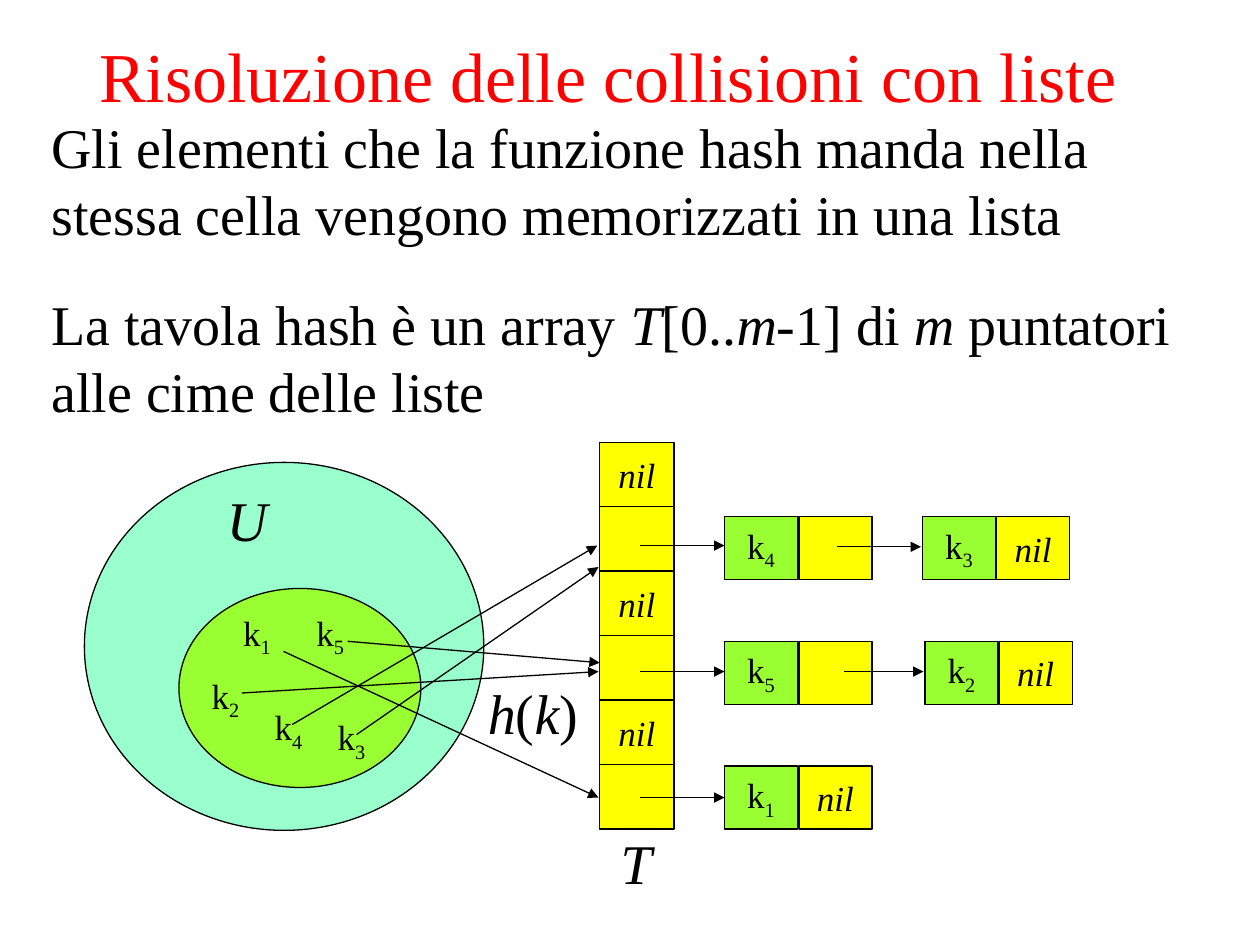
from lxml.etree import SubElement as Sub
from pptx import Presentation
from pptx.dml.color import RGBColor
from pptx.enum.shapes import MSO_CONNECTOR as Conn, MSO_SHAPE as Kind
from pptx.enum.text import MSO_ANCHOR as Anchor, PP_ALIGN as Align
from pptx.oxml.ns import qn
from pptx.util import Inches, Pt

FONT = "Times New Roman"
BLACK, RED, MINT, GREEN, YELLOW = "000000", "FF0000", "99FFCC", "99FF33", "FFFF00"
TITLE = "Risoluzione delle collisioni con liste "
BODY = [
    (0.84, 9.45, "Gli elementi che la funzione hash manda nella stessa cella "
                 "vengono memorizzati in una lista"),
    (2.25, 9.41, "La tavola hash è un array *T*[0..*m*-1] di *m* puntatori "
                 "alle cime delle liste  "),
]
SETS = [(0.67, 3.67, 3.17, 2.92, MINT), (1.42, 4.67, 1.92, 1.58, GREEN)]
KEYS = [("k_1", 1.75, 4.75), ("k_3", 2.5, 5.58), ("k_5", 2.33, 4.75),
        ("k_4", 2, 5.5), ("k_2", 1.5, 5.25)]
NAMES = [("*U*", 1.67, 3.83, 0.58), ("*T*", 4.76, 6.55, 0.58),
         ("*h*(*k*)", 3.73, 5.36, 1)]
SLOTS = ["*nil*", ""] * 3
CHAINS = [
    [("k_4", 5.75, ""), ("k_3", 7.32, "*nil*")],
    [("k_5", 5.75, ""), ("k_2", 7.34, "*nil*")],
    [("k_1", 5.75, "*nil*")],
]
HASHES = [(2.25, 5.17, 4.75, 6.33), (1.92, 5.5, 4.75, 5.33),
          (2.83, 5.83, 4.75, 4.5), (2.32, 5.75, 4.74, 4.33),
          (2.76, 5.09, 4.76, 5.26)]
LINKS = [(5.08, y, 5.75, y) for y in (4.33, 5.33, 6.33)]
LINKS += [(6.64, 4.34, 7.31, 4.34), (6.7, 5.33, 7.33, 5.33)]


def color(code):
    return RGBColor.from_string(code)


def write(shape, text, size, tint=BLACK, align=Align.CENTER):
    """Write text, with *italic* parts and a subscript after each underscore."""
    par = shape.text_frame.paragraphs[0]
    par.alignment = align
    par.font.size, par.font.name = Pt(size), FONT
    par.font.color.rgb = color(tint)
    for i, part in enumerate(text.split("*")):
        for j, bit in enumerate(part.split("_")):
            if bit:
                run = par.add_run()
                run.text = bit
                if i % 2:
                    run.font.italic = True
                if j:
                    run.font._element.set("baseline", "-25000")


def center(shape):
    shape.text_frame.word_wrap = False
    shape.text_frame.vertical_anchor = Anchor.MIDDLE


def draw(kind, x, y, w, h, fill, text=""):
    shape = slide.shapes.add_shape(kind, *map(Inches, (x, y, w, h)))
    shape.shadow.inherit = False
    shape.fill.solid()
    shape.fill.fore_color.rgb = color(fill)
    shape.line.color.rgb = color(BLACK)
    shape.line.width = Pt(0.75)
    if text:
        center(shape)
        write(shape, text, 20)


def label(text, x, y, wide, size):
    box = slide.shapes.add_textbox(*map(Inches, (x, y, wide, 0.58)))
    center(box)
    write(box, text, size)


def arrow(*ends):
    line = slide.shapes.add_connector(Conn.STRAIGHT, *map(Inches, ends))
    line.line.color.rgb = color(BLACK)
    line.line.width = Pt(0.75)
    props = line._element.spPr
    Sub(props.find(qn("a:ln")), qn("a:tailEnd"), type="triangle")
    Sub(props, qn("a:effectLst"))


deck = Presentation()
deck.slide_width, deck.slide_height = Inches(10), Inches(7.5)
slide = deck.slides.add_slide(deck.slide_layouts[5])

title = slide.shapes.title
title.left, title.top, title.width, title.height = map(Inches, (0.31, 0.21, 9.17, 0.77))
title.text_frame.vertical_anchor = Anchor.TOP
write(title, TITLE, 40, RED)

for top, wide, text in BODY:
    box = slide.shapes.add_textbox(*map(Inches, (0.31, top, wide, 1.18)))
    box.text_frame.word_wrap = True
    write(box, text, 32, align=Align.LEFT)
    box.text_frame.paragraphs[0].space_before = Pt(16)

for area in SETS:
    draw(Kind.OVAL, *area)
for key in KEYS:
    label(*key, 0.58, 20)
for name in NAMES:
    label(*name, 32)
for i, text in enumerate(SLOTS):
    draw(Kind.RECTANGLE, 4.76, 3.51 + 0.512 * i, 0.59, 0.51, YELLOW, text)
for i, chain in enumerate(CHAINS):
    for key, x, end in chain:
        y = 4.1 + 0.99 * i
        draw(Kind.RECTANGLE, x, y, 0.58, 0.5, GREEN, key)
        draw(Kind.RECTANGLE, x + 0.59, y, 0.58, 0.5, YELLOW, end)
for ends in HASHES + LINKS:
    arrow(*ends)

deck.save("out.pptx")
